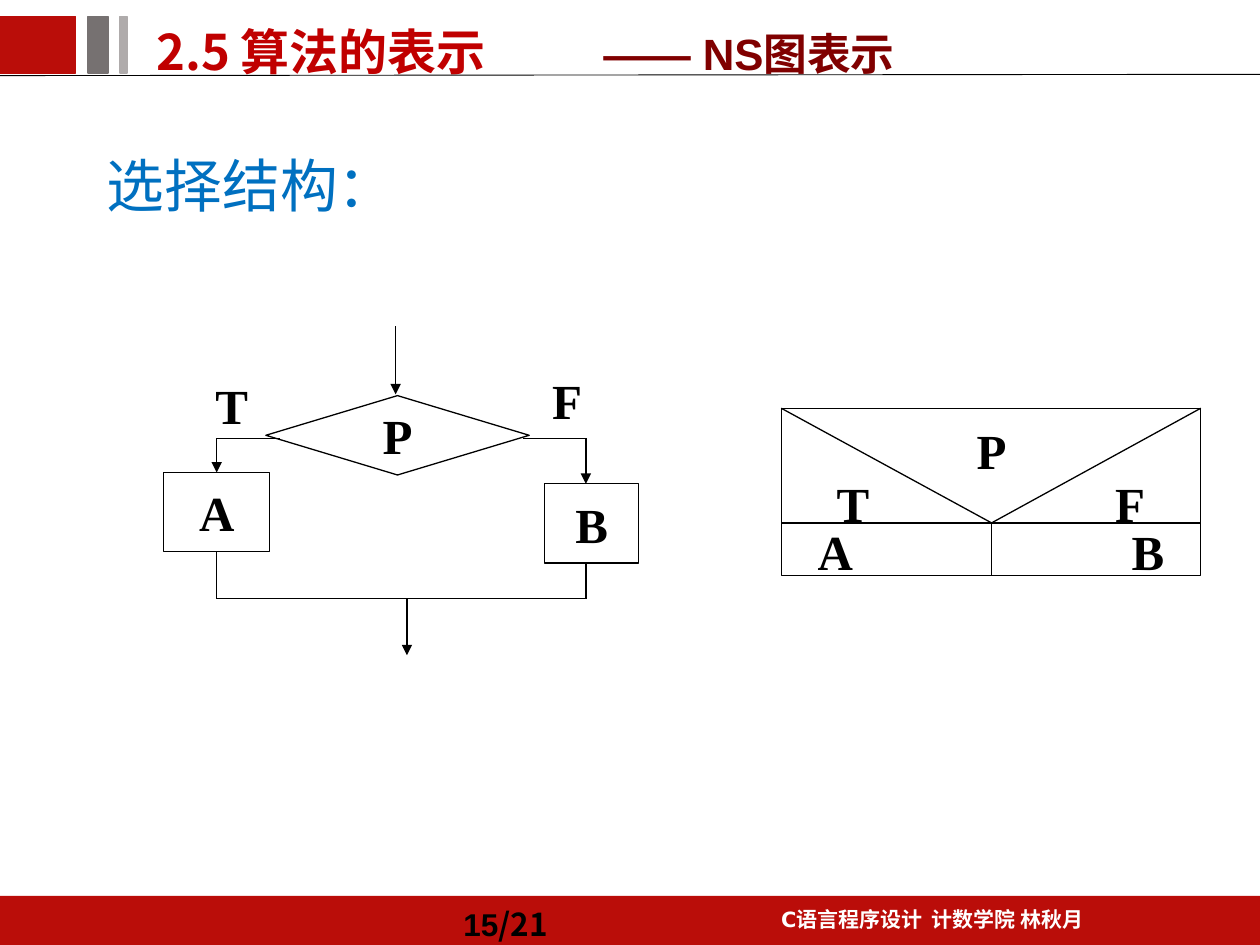
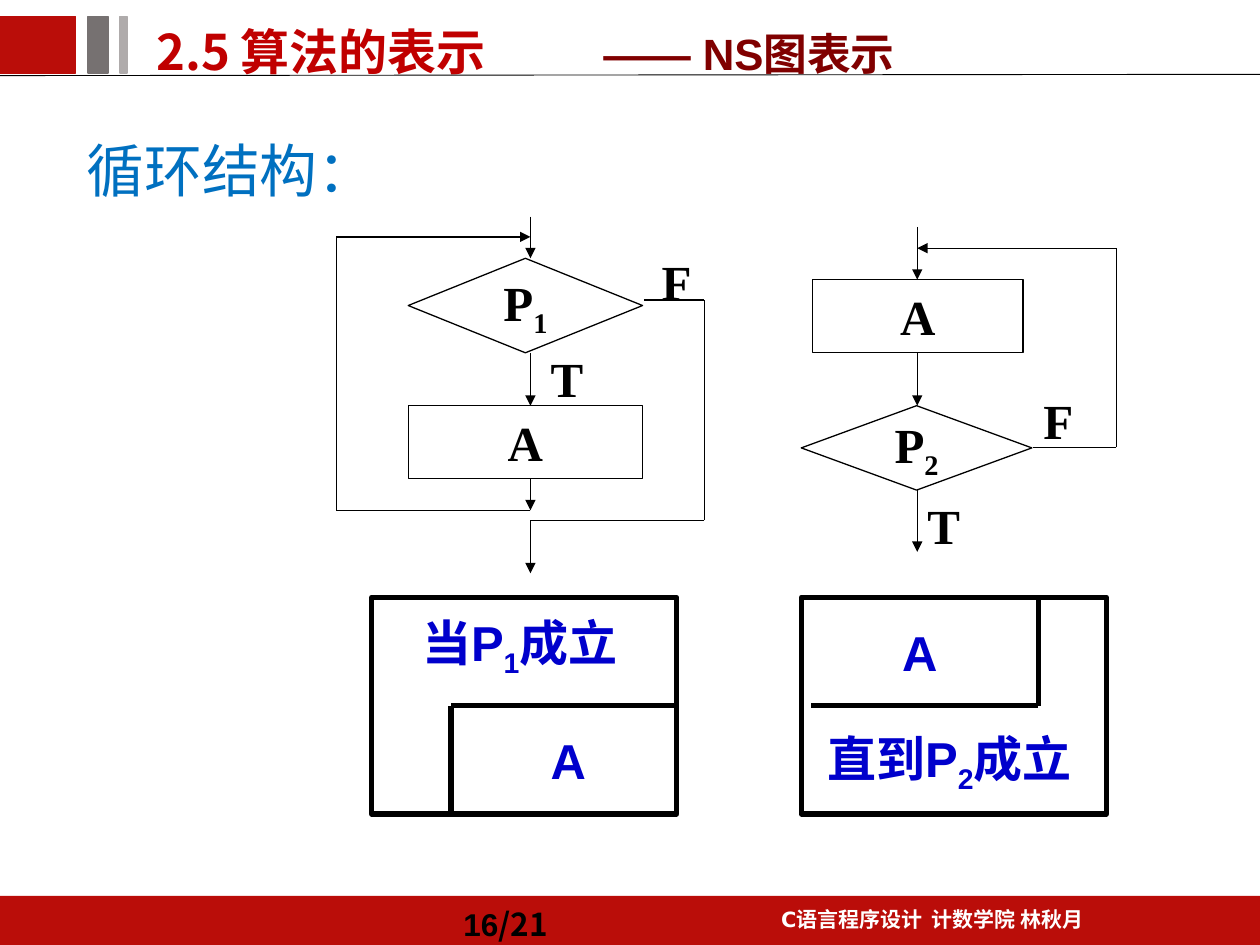
from lxml import etree
from pptx import Presentation
from pptx.dml.color import RGBColor
from pptx.enum.shapes import MSO_CONNECTOR, MSO_SHAPE
from pptx.enum.text import MSO_ANCHOR, MSO_AUTO_SIZE, PP_ALIGN
from pptx.oxml.ns import qn
from pptx.util import Inches, Pt

RED = RGBColor(0xBA, 0x0D, 0x09)
TITLE_RED = RGBColor(0xC0, 0x00, 0x00)
MAROON = RGBColor(0x80, 0x00, 0x00)
BLUE = RGBColor(0x00, 0x70, 0xC0)
NS_BLUE = RGBColor(0x00, 0x00, 0xCC)
DARK_GREY = RGBColor(0x76, 0x71, 0x71)
LIGHT_GREY = RGBColor(0xAF, 0xAB, 0xAB)
BLACK = RGBColor(0, 0, 0)
WHITE = RGBColor(0xFF, 0xFF, 0xFF)

RECT = MSO_SHAPE.RECTANGLE
DECISION = MSO_SHAPE.FLOWCHART_DECISION
PROCESS = MSO_SHAPE.FLOWCHART_PROCESS
STRAIGHT = MSO_CONNECTOR.STRAIGHT
LEFT, CENTER = PP_ALIGN.LEFT, PP_ALIGN.CENTER
TOP, MIDDLE, BOTTOM = MSO_ANCHOR.TOP, MSO_ANCHOR.MIDDLE, MSO_ANCHOR.BOTTOM
NO_FIT = MSO_AUTO_SIZE.NONE
CJK = "Noto Sans CJK SC"


def style(size, name, color, bold=True):
    return {"size": Pt(size), "name": name, "bold": bold, "color": color}


TITLE = style(28, CJK, TITLE_RED)
SUBTITLE = style(25, "Arial", MAROON)
HEADING = style(33, CJK, BLUE, False)
FOOTER = style(12, "DejaVu Sans", WHITE)
PAGE = style(18, "Arial", BLACK)
TOTAL = style(18, CJK, BLACK)
LABEL = style(28, "Times New Roman", BLACK)
NS_TEXT = style(28, "Arial", NS_BLUE)


class Deck:
    def __init__(self):
        self.prs = Presentation()
        self.prs.slide_width, self.prs.slide_height = Inches(10), Inches(7.5)
        self.s = None

    def fill_text(self, tf, runs, align=LEFT, anchor=TOP, wrap=True, **para):
        for key, value in {"auto_size": NO_FIT, "word_wrap": wrap,
                           "vertical_anchor": anchor}.items():
            setattr(tf, key, value)
        p = tf.paragraphs[0]
        for key, value in {"alignment": align, **para}.items():
            setattr(p, key, value)
        for text, fmt in runs:
            for i, part in enumerate(text.split("_")):
                if part:
                    self.run(p, part, fmt, subscript=i % 2 == 1)

    def run(self, p, text, fmt, subscript):
        r = p.add_run()
        r.text = text
        for key, value in fmt.items():
            if key == "color":
                r.font.color.rgb = value
            else:
                setattr(r.font, key, value)
        r_pr = r.font._element
        etree.SubElement(r_pr, qn("a:ea")).set("typeface", CJK)
        if subscript:
            r_pr.set("baseline", "-25000")

    def text(self, x, y, w, h, text, fmt, **options):
        sp = self.s.shapes.add_textbox(*map(Inches, (x, y, w, h)))
        self.fill_text(sp.text_frame, [(text, fmt)], **options)
        return sp

    def label(self, cx, cy, text):
        self.text(cx - 0.21, cy - 0.25, 0.42, 0.5, text, LABEL,
                  align=CENTER, wrap=False)

    def shape(self, kind, x, y, w, h, text="", fill=None, line=BLACK, width=0.75):
        sp = self.s.shapes.add_shape(kind, *map(Inches, (x, y, w, h)))
        sp.shadow.inherit = False
        if fill is None:
            sp.fill.background()
        else:
            sp.fill.solid()
            sp.fill.fore_color.rgb = fill
        if line is None:
            sp.line.fill.background()
        else:
            sp.line.color.rgb = line
            sp.line.width = Pt(width)
        if text:
            self.fill_text(sp.text_frame, [(text, LABEL)], align=CENTER,
                           anchor=MIDDLE, wrap=False)

    def path_line(self, *points, arrow=False, width=0.75):
        for start, end in zip(points, points[1:]):
            c = self.s.shapes.add_connector(STRAIGHT, *map(Inches, start + end))
            c.line.color.rgb = BLACK
            c.line.width = Pt(width)
            etree.SubElement(c._element.spPr, qn("a:effectLst"))
        if arrow:
            ln = c.line._get_or_add_ln()
            etree.SubElement(ln, qn("a:tailEnd")).set("type", "triangle")

    def slide(self, number, heading, x, y):
        self.s = self.prs.slides.add_slide(self.prs.slide_layouts[5])
        self.shape(RECT, 0, 7.11, 10, 0.39, fill=RED, line=None)
        self.text(5.63, 7.11, 3.54, 0.34, "C语言程序设计  计数学院 林秋月", FOOTER,
                  align=CENTER, line_spacing=1.2, space_before=Pt(2.4))
        self.path_line((0, 0.6), (10, 0.59), width=0.5)
        for left, w, color in ((0, 0.6, RED), (0.7, 0.16, DARK_GREY),
                               (0.95, 0.06, LIGHT_GREY)):
            self.shape(RECT, left, 0.13, w, 0.45, fill=color, line=color, width=1)
        page = self.s.shapes.add_textbox(*map(Inches, (3.58, 7.11, 1.42, 0.39)))
        self.fill_text(page.text_frame, [(str(number), PAGE), ("/21", TOTAL)],
                       anchor=MIDDLE, line_spacing=1.2, space_before=Pt(3.6))
        title = self.s.shapes.title
        for key, value in {"left": 1.14, "top": 0.03,
                           "width": 4.81, "height": 0.67}.items():
            setattr(title, key, Inches(value))
        self.fill_text(title.text_frame, [("2.5 算法的表示", TITLE)],
                       line_spacing=1.2, space_before=Pt(3.6))
        self.text(x, y, 8.5, 0.87, heading, HEADING, line_spacing=1.2)
        self.text(4.69, 0.16, 3.35, 0.52, "—— NS图表示", SUBTITLE, anchor=BOTTOM)


def selection_slide(d):
    d.slide(15, "选择结构：", 0.75, 1.03)

    left, right, mid, top, split, bottom = 6.2, 9.53, 7.87, 3.24, 4.15, 4.57
    d.shape(RECT, left, top, right - left, split - top)
    d.shape(RECT, left, split, right - left, bottom - split)
    d.path_line((left, top), (mid, split), (right, top))
    d.path_line((mid, split), (mid, bottom))
    for cx, cy, text in ((mid, 3.54, "P"), (6.77, 3.96, "T"), (8.97, 3.96, "F"),
                         (6.63, 4.34, "A"), (9.11, 4.34, "B")):
        d.label(cx, cy, text)

    a_x, b_x, branch_y, join_y = 1.72, 4.65, 3.48, 4.75
    d.path_line((3.14, 2.59), (3.14, 3.13), arrow=True)
    d.shape(DECISION, 2.11, 3.14, 2.09, 0.63, "P")
    d.path_line((2.22, branch_y), (a_x, branch_y), (a_x, 3.75), arrow=True)
    d.path_line((4.15, branch_y), (b_x, branch_y), (b_x, 3.84), arrow=True)
    d.shape(RECT, 1.3, 3.75, 0.84, 0.63, "A")
    d.shape(RECT, 4.32, 3.84, 0.75, 0.63, "B")
    d.path_line((a_x, 4.38), (a_x, join_y), (b_x, join_y), (b_x, 4.47))
    d.path_line((3.23, join_y), (3.23, 5.2), arrow=True)
    d.label(1.84, 3.18, "T")
    d.label(4.5, 3.14, "F")


def loop_slide(d):
    d.slide(16, "循环结构：", 0.59, 0.91)

    until_x, back_x = 7.28, 8.86
    for y1, y2 in ((1.8, 2.22), (2.8, 3.22), (3.88, 4.38)):
        d.path_line((until_x, y1), (until_x, y2), arrow=True)
    d.shape(RECT, 6.45, 2.22, 1.67, 0.58, "A")
    d.shape(DECISION, 6.36, 3.22, 1.83, 0.67, "P_2")
    d.path_line((8.2, 3.55), (back_x, 3.55), (back_x, 1.97), (until_x, 1.97),
                arrow=True)
    d.label(8.4, 3.3, "F")
    d.label(7.49, 4.13, "T")

    while_x, back_x, exit_x = 4.21, 2.67, 5.59
    for y1, y2 in ((1.72, 2.05), (2.8, 3.22), (3.8, 4.05)):
        d.path_line((while_x, y1), (while_x, y2), arrow=True)
    d.shape(DECISION, 3.24, 2.05, 1.86, 0.75, "P_1")
    d.shape(RECT, 3.24, 3.22, 1.86, 0.58, "A")
    d.path_line((while_x, 4.05), (back_x, 4.05), (back_x, 1.88), (while_x, 1.88),
                arrow=True)
    d.path_line((5.11, 2.38), (exit_x, 2.38), (exit_x, 4.13), (while_x, 4.13),
                (while_x, 4.55), arrow=True)
    d.label(4.5, 2.97, "T")
    d.label(5.37, 2.2, "F")

    for x in (2.95, 6.36):
        d.shape(PROCESS, x, 4.74, 2.42, 1.72, width=3)
    d.path_line((5.37, 5.6), (3.58, 5.6), (3.58, 6.46), width=3)
    d.path_line((6.44, 5.6), (8.24, 5.6), (8.24, 4.74), width=3)
    for x, y, w, text in ((4.12, 5.75, 0.78, "A"), (3.11, 4.81, 2.03, "当P_1_成立"),
                          (6.91, 4.89, 0.78, "A"), (6.36, 5.73, 2.35, "直到P_2_成立")):
        d.text(x, y, w, 0.57, text, NS_TEXT, align=CENTER)


def main():
    d = Deck()
    selection_slide(d)
    loop_slide(d)
    d.prs.save("out.pptx")


if __name__ == "__main__":
    main()
